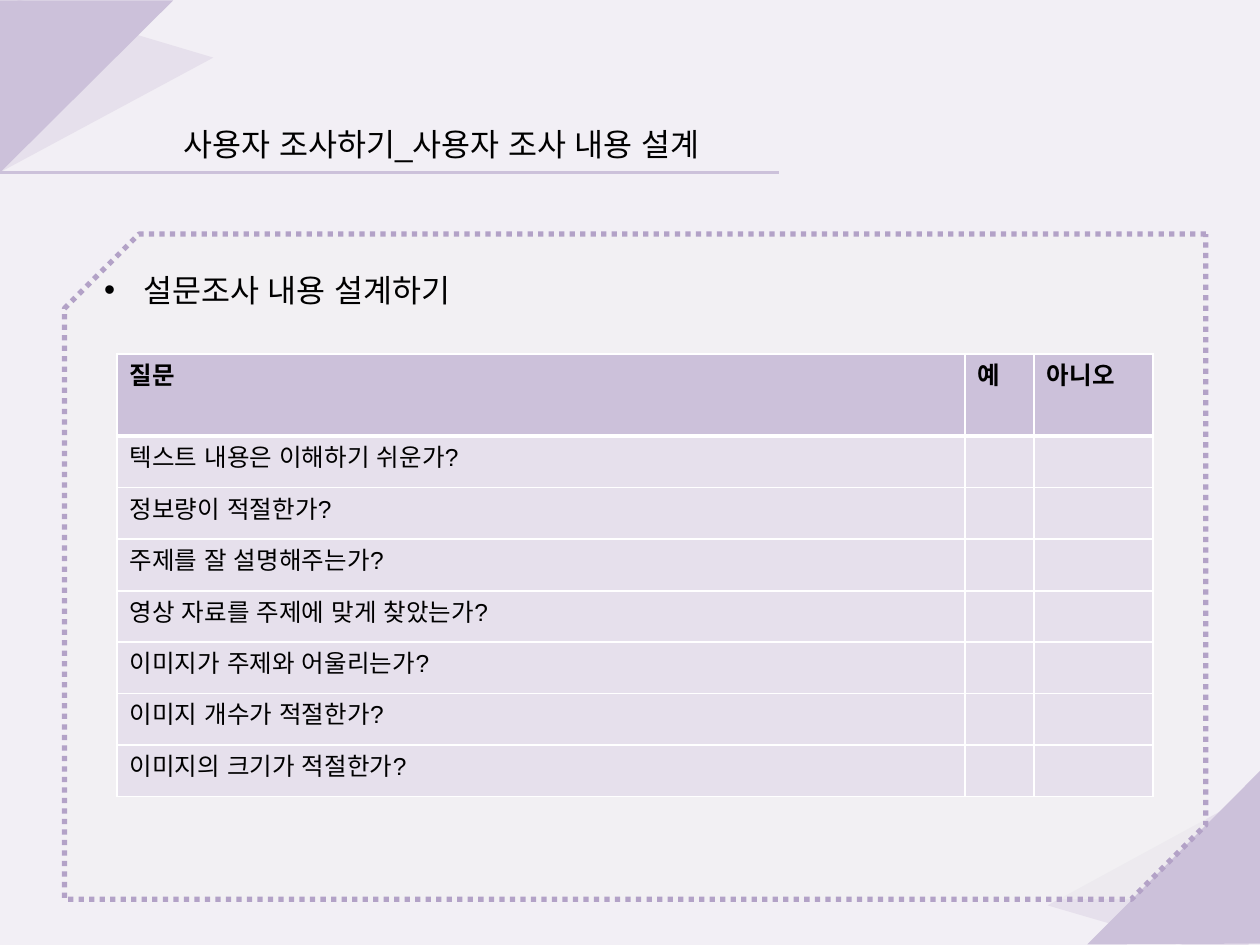
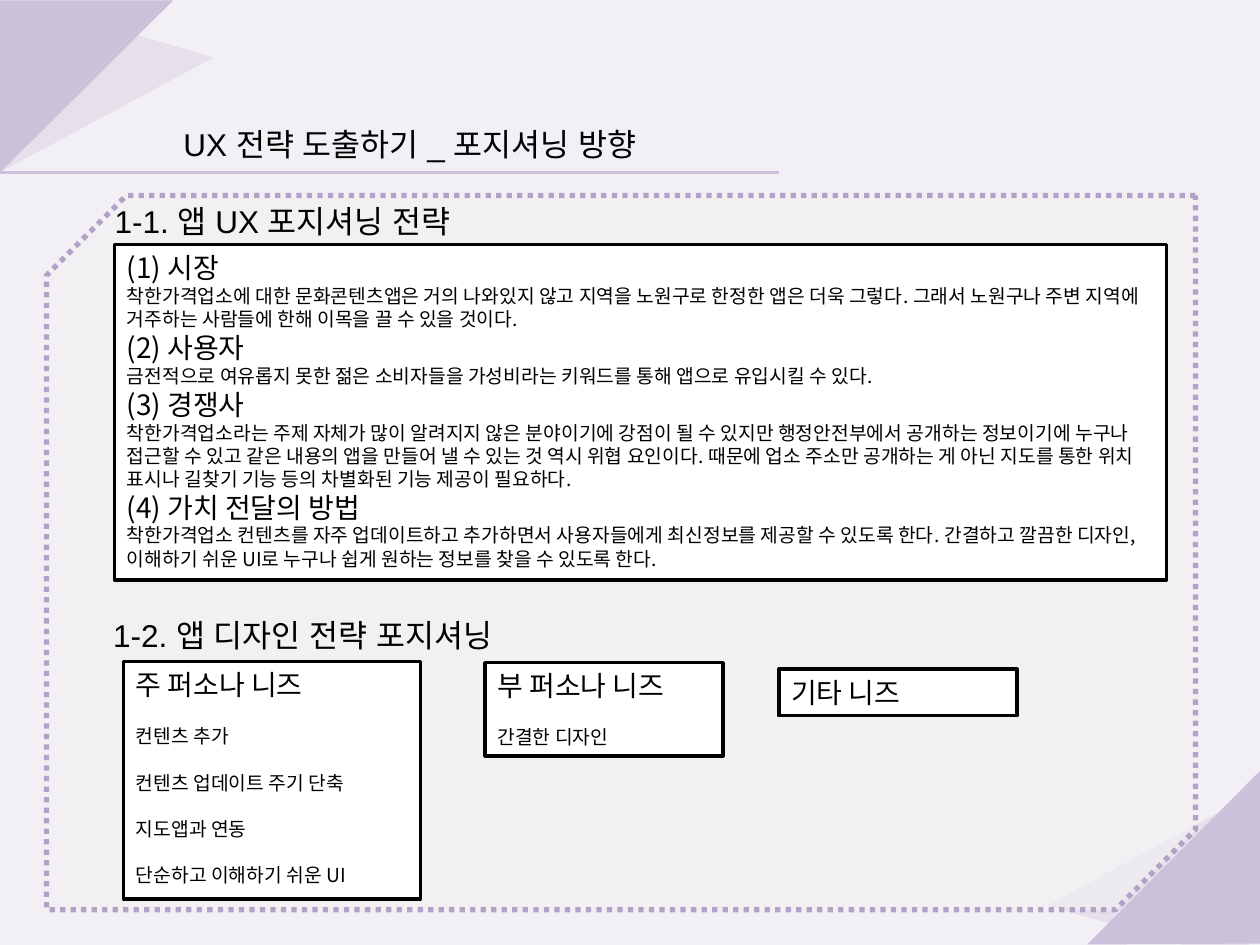
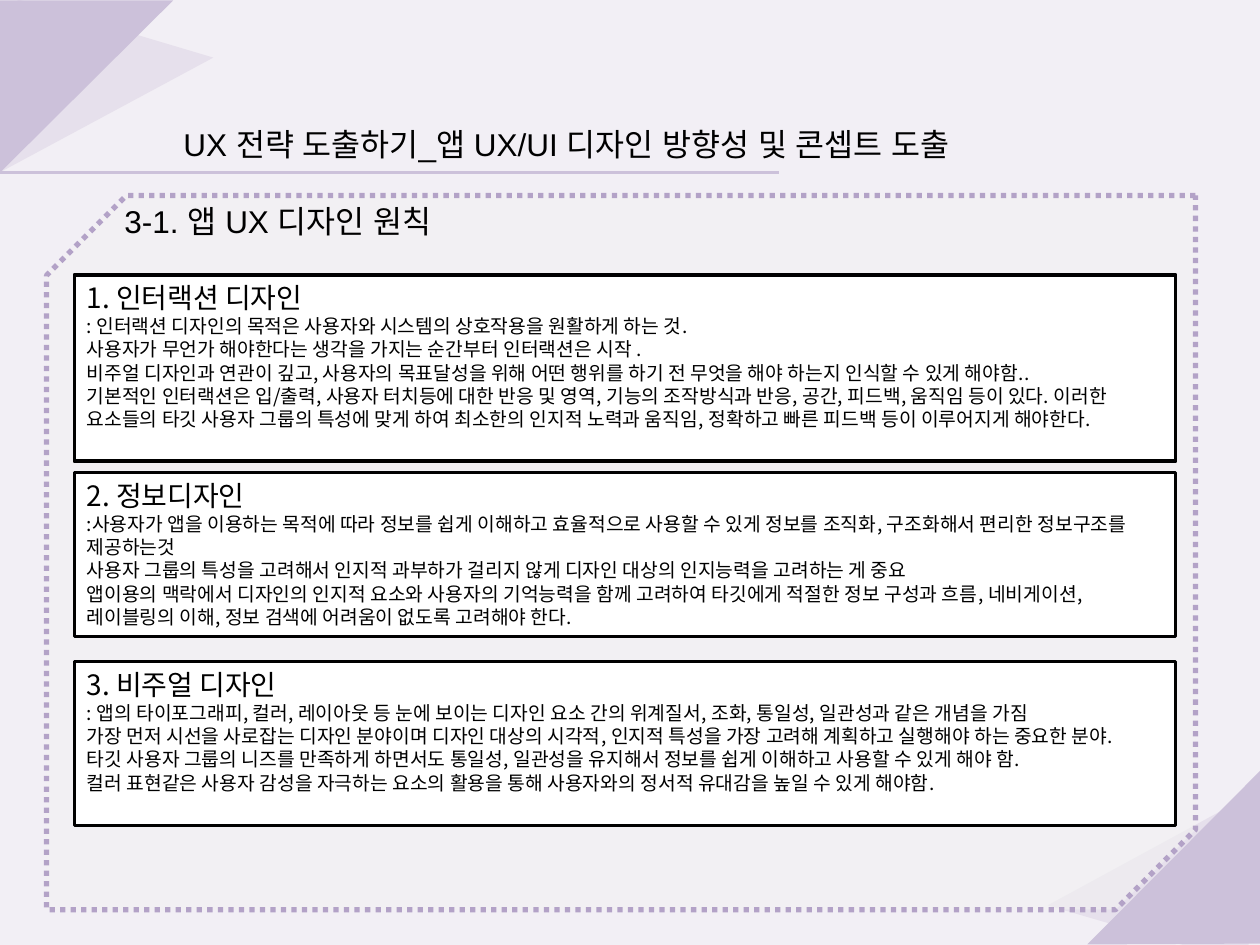
from dataclasses import dataclass

from lxml import etree
from pptx import Presentation
from pptx.dml.color import RGBColor
from pptx.enum.dml import MSO_LINE
from pptx.enum.shapes import MSO_CONNECTOR, MSO_SHAPE
from pptx.enum.text import MSO_ANCHOR, MSO_AUTO_SIZE, PP_ALIGN
from pptx.oxml.ns import qn
from pptx.util import Cm, Pt

STRAIGHT = MSO_CONNECTOR.STRAIGHT
TRIANGLE = MSO_SHAPE.ISOSCELES_TRIANGLE
RECTANGLE = MSO_SHAPE.RECTANGLE
SNIPPED = MSO_SHAPE.SNIP_2_DIAG_RECTANGLE
DOTTED = MSO_LINE.ROUND_DOT
LEFT = PP_ALIGN.LEFT
TOP = MSO_ANCHOR.TOP
FIXED = MSO_AUTO_SIZE.NONE


@dataclass(frozen=True)
class Theme:
    backdrop: str = "F2EFF5"
    pale: str = "E6E0EC"
    lilac: str = "CCC1DA"
    violet: str = "B3A2C7"
    panel: str = "F2F2F2"
    white: str = "FFFFFF"
    ink: str = "000000"
    title_font: str = "Arial"
    card_font: str = "Noto Sans CJK KR"
    title_size: int = 18
    card_size: int = 16
    table_size: int = 14
    body_size: int = 11
    leading: float = 1.2
    panel_opacity: int = 60


def rgb(code):
    return RGBColor.from_string(code)


def apply(target, values):
    for attribute, value in values.items():
        setattr(target, attribute, value)


class Deck:
    def __init__(self, theme):
        self.theme = theme
        self.presentation = Presentation()
        apply(self.presentation, {"slide_width": Cm(25.4), "slide_height": Cm(19.05)})
        self.slide = None

    def start(self, title, title_width):
        theme = self.theme
        self.slide = self.presentation.slides.add_slide(self.presentation.slide_layouts[6])
        backdrop = self.slide.background.fill
        backdrop.solid()
        backdrop.fore_color.rgb = rgb(theme.backdrop)
        self.corner(-0.3, 0.48, 4.09, 4.11, 106.6, theme.pale)
        self.corner(0, 0, 3.48, 3.5, 90, theme.lilac)
        self.corner(21.62, 14.81, 4.09, 4.11, 286.3, theme.pale)
        self.corner(21.92, 15.54, 3.48, 3.5, 269.7, theme.lilac)
        self.rule(0, 15.7, 3.48)
        self.heading(title, 3.45, 2.39, title_width, wrap=False)

    def shape(self, kind, left, top, width, height, fill):
        shape = self.slide.shapes.add_shape(kind, Cm(left), Cm(top), Cm(width), Cm(height))
        shape.shadow.inherit = False
        shape.fill.solid()
        shape.fill.fore_color.rgb = rgb(fill)
        return shape

    def outline(self, line, color, width):
        line.color.rgb = rgb(color)
        line.width = Pt(width)

    def corner(self, left, top, width, height, angle, fill):
        corner = self.shape(TRIANGLE, left, top, width, height, fill)
        corner.adjustments[0] = 0
        corner.rotation = angle
        corner.line.fill.background()

    def rule(self, start, end, top):
        rule = self.slide.shapes.add_connector(STRAIGHT, Cm(start), Cm(top), Cm(end), Cm(top))
        self.outline(rule.line, self.theme.lilac, 1.5)
        etree.SubElement(rule._element.spPr, qn("a:effectLst"))

    def panel(self, left, top, width, height):
        panel = self.shape(SNIPPED, left, top, width, height, self.theme.panel)
        panel.adjustments[0] = 0
        panel.adjustments[1] = 0.112
        self.outline(panel.line, self.theme.violet, 3)
        panel.line.dash_style = DOTTED
        properties = panel._element.spPr
        properties.find(qn("a:xfrm")).set("flipH", "1")
        tint = properties.find(qn("a:solidFill"))[0]
        etree.SubElement(tint, qn("a:alpha"), val=str(self.theme.panel_opacity * 1000))

    def words(self, paragraph, text, size, font, bold=False, gap=0):
        apply(paragraph, {
            "alignment": LEFT,
            "line_spacing": Pt(size * self.theme.leading),
            "space_before": Pt(gap),
        })
        run = paragraph.add_run()
        run.text = text
        apply(run.font, {"size": Pt(size), "bold": bold, "name": font})
        run.font.color.rgb = rgb(self.theme.ink)
        etree.SubElement(run._r.get_or_add_rPr(), qn("a:ea"), typeface=font)

    def heading(self, text, left, top, width, wrap=True):
        box = self.slide.shapes.add_textbox(Cm(left), Cm(top), Cm(width), Cm(1.02))
        apply(box.text_frame, {"word_wrap": wrap, "auto_size": FIXED})
        paragraph = box.text_frame.paragraphs[0]
        self.words(paragraph, text, self.theme.title_size, self.theme.title_font)
        return paragraph

    def bullet(self, text, left, top, width):
        properties = self.heading(text, left, top, width)._p.get_or_add_pPr()
        indent = int(Cm(0.79))
        properties.set("marL", str(indent))
        properties.set("indent", str(-indent))
        etree.SubElement(properties, qn("a:buFont"), typeface=self.theme.title_font)
        etree.SubElement(properties, qn("a:buChar"), char="•")

    def card(self, left, top, width, height, sections, gap=0):
        theme = self.theme
        card = self.shape(RECTANGLE, left, top, width, height, theme.white)
        self.outline(card.line, theme.ink, 2)
        frame = card.text_frame
        apply(frame, {"word_wrap": True, "auto_size": FIXED, "vertical_anchor": TOP})
        lines = []
        for name, *details in sections:
            lines.append((name, theme.card_size, 0))
            lines.extend((detail, theme.body_size, gap) for detail in details)
        for index, (text, size, space) in enumerate(lines):
            paragraph = frame.add_paragraph() if index else frame.paragraphs[0]
            self.words(paragraph, text, size, theme.card_font, gap=space)

    def borders(self, cell, top, bottom):
        properties = cell._tc.get_or_add_tcPr()
        for side, width in {"L": 1, "R": 1, "T": top, "B": bottom}.items():
            edge = etree.SubElement(properties, qn(f"a:ln{side}"), w=str(int(Pt(width))))
            paint = etree.SubElement(edge, qn("a:solidFill"))
            etree.SubElement(paint, qn("a:srgbClr"), val=self.theme.white)

    def table(self, left, top, widths, heights, rows):
        theme = self.theme
        table = self.slide.shapes.add_table(
            len(rows), len(widths), Cm(left), Cm(top), Cm(sum(widths)), Cm(sum(heights))).table
        for column, width in zip(table.columns, widths):
            column.width = Cm(width)
        for index, (row, height, texts) in enumerate(zip(table.rows, heights, rows)):
            row.height = Cm(height)
            header = index == 0
            for cell, text in zip(row.cells, texts):
                self.borders(cell, 3 if index == 1 else 1, 3 if header else 1)
                cell.fill.solid()
                cell.fill.fore_color.rgb = rgb(theme.lilac if header else theme.pale)
                if text:
                    self.words(cell.text_frame.paragraphs[0], text, theme.table_size,
                               theme.title_font, bold=header)


WIDE_PANEL = (0.94, 3.94, 23.16, 14.4)
HEADING_WIDTH = 22.25

QUESTIONS = [
    "텍스트 내용은 이해하기 쉬운가?",
    "정보량이 적절한가?",
    "주제를 잘 설명해주는가?",
    "영상 자료를 주제에 맞게 찾았는가?",
    "이미지가 주제와 어울리는가?",
    "이미지 개수가 적절한가?",
    "이미지의 크기가 적절한가?",
]

POSITIONING = [
    ("(1) 시장",
     "착한가격업소에 대한 문화콘텐츠앱은 거의 나와있지 않고 지역을 노원구로 한정한 앱은 더욱 그렇다. "
     "그래서 노원구나 주변 지역에 거주하는 사람들에 한해 이목을 끌 수 있을 것이다."),
    ("(2) 사용자",
     "금전적으로 여유롭지 못한 젊은 소비자들을 가성비라는 키워드를 통해 앱으로 유입시킬 수 있다."),
    ("(3) 경쟁사",
     "착한가격업소라는 주제 자체가 많이 알려지지 않은 분야이기에 강점이 될 수 있지만 "
     "행정안전부에서 공개하는 정보이기에 누구나 접근할 수 있고 같은 내용의 앱을 만들어 낼 수 있는 것 "
     "역시 위협 요인이다. 때문에 업소 주소만 공개하는 게 아닌 지도를 통한 위치 표시나 길찾기 기능 등의 "
     "차별화된 기능 제공이 필요하다."),
    ("(4) 가치 전달의 방법",
     "착한가격업소 컨텐츠를 자주 업데이트하고 추가하면서 사용자들에게 최신정보를 제공할 수 있도록 한다. "
     "간결하고 깔끔한 디자인, 이해하기 쉬운 UI로 누구나 쉽게 원하는 정보를 찾을 수 있도록 한다."),
]

NEEDS = [
    ((2.49, 13.34, 5.99, 4.78),
     ("주 퍼소나 니즈", "컨텐츠 추가", "컨텐츠 업데이트 주기 단축", "지도앱과 연동",
      "단순하고 이해하기 쉬운 UI")),
    ((9.78, 13.36, 4.8, 1.88), ("부 퍼소나 니즈", "간결한 디자인")),
    ((15.7, 13.49, 4.8, 0.94), ("기타 니즈",)),
]

PRINCIPLES = [
    (5.54, 3.76, (
        "1. 인터랙션 디자인",
        ": 인터랙션 디자인의 목적은 사용자와 시스템의 상호작용을 원활하게 하는 것.",
        "사용자가 무언가 해야한다는 생각을 가지는 순간부터 인터랙션은 시작 .",
        "비주얼 디자인과 연관이 깊고, 사용자의 목표달성을 위해 어떤 행위를 하기 전 무엇을 해야 하는지 "
        "인식할 수 있게 해야함..",
        "기본적인 인터랙션은 입/출력, 사용자 터치등에 대한 반응 및 영역, 기능의 조작방식과 반응, 공간, "
        "피드백, 움직임 등이 있다. 이러한 요소들의 타깃 사용자 그룹의 특성에 맞게 하여 최소한의 인지적 "
        "노력과 움직임, 정확하고 빠른 피드백 등이 이루어지게 해야한다.")),
    (9.53, 3.3, (
        "2. 정보디자인",
        ":사용자가 앱을 이용하는 목적에 따라 정보를 쉽게 이해하고 효율적으로 사용할 수 있게 정보를 조직화, "
        "구조화해서 편리한 정보구조를 제공하는것",
        "사용자 그룹의 특성을 고려해서 인지적 과부하가 걸리지 않게 디자인 대상의 인지능력을 고려하는 게 중요",
        "앱이용의 맥락에서 디자인의 인지적 요소와 사용자의 기억능력을 함께 고려하여 타깃에게 적절한 정보 "
        "구성과 흐름, 네비게이션, 레이블링의 이해, 정보 검색에 어려움이 없도록 고려해야 한다.")),
    (13.34, 3.3, (
        "3. 비주얼 디자인",
        ": 앱의 타이포그래피, 컬러, 레이아웃 등 눈에 보이는 디자인 요소 간의 위계질서, 조화, 통일성, "
        "일관성과 같은 개념을 가짐",
        "가장 먼저 시선을 사로잡는 디자인 분야이며 디자인 대상의 시각적, 인지적 특성을 가장 고려해 "
        "계획하고 실행해야 하는 중요한 분야.",
        "타깃 사용자 그룹의 니즈를 만족하게 하면서도 통일성, 일관성을 유지해서 정보를 쉽게 이해하고 "
        "사용할 수 있게 해야 함.",
        "컬러 표현같은 사용자 감성을 자극하는 요소의 활용을 통해 사용자와의 정서적 유대감을 높일 수 "
        "있게 해야함.")),
]

deck = Deck(Theme())

deck.start("사용자 조사하기_사용자 조사 내용 설계", 11.96)
deck.panel(1.3, 4.72, 23.01, 13.41)
deck.bullet("설문조사 내용 설계하기", 1.85, 5.33, HEADING_WIDTH)
deck.table(2.36, 7.14, [17.09, 1.4, 2.39], [1.65] + [1.04] * 3 + [0.99] + [1.04] * 3,
           [("질문", "예", "아니오")] + [(question, "", "") for question in QUESTIONS])

deck.start("UX 전략 도출하기 _ 포지셔닝 방향", 10.44)
deck.panel(*WIDE_PANEL)
deck.heading("1-1. 앱 UX 포지셔닝 전략", 2.06, 3.94, HEADING_WIDTH)
deck.heading("1-2. 앱 디자인 전략 포지셔닝", 2.03, 12.29, HEADING_WIDTH)
for place, need in NEEDS:
    deck.card(*place, [need], gap=13.2)
deck.card(2.31, 4.93, 21.21, 6.76, POSITIONING)

deck.start("UX 전략 도출하기_앱 UX/UI 디자인 방향성 및 콘셉트 도출", 17.35)
deck.panel(*WIDE_PANEL)
deck.heading("3-1. 앱 UX 디자인 원칙", 2.26, 3.94, HEADING_WIDTH)
for top, height, principle in PRINCIPLES:
    deck.card(1.5, top, 22.2, height, [principle])

deck.presentation.save("out.pptx")
